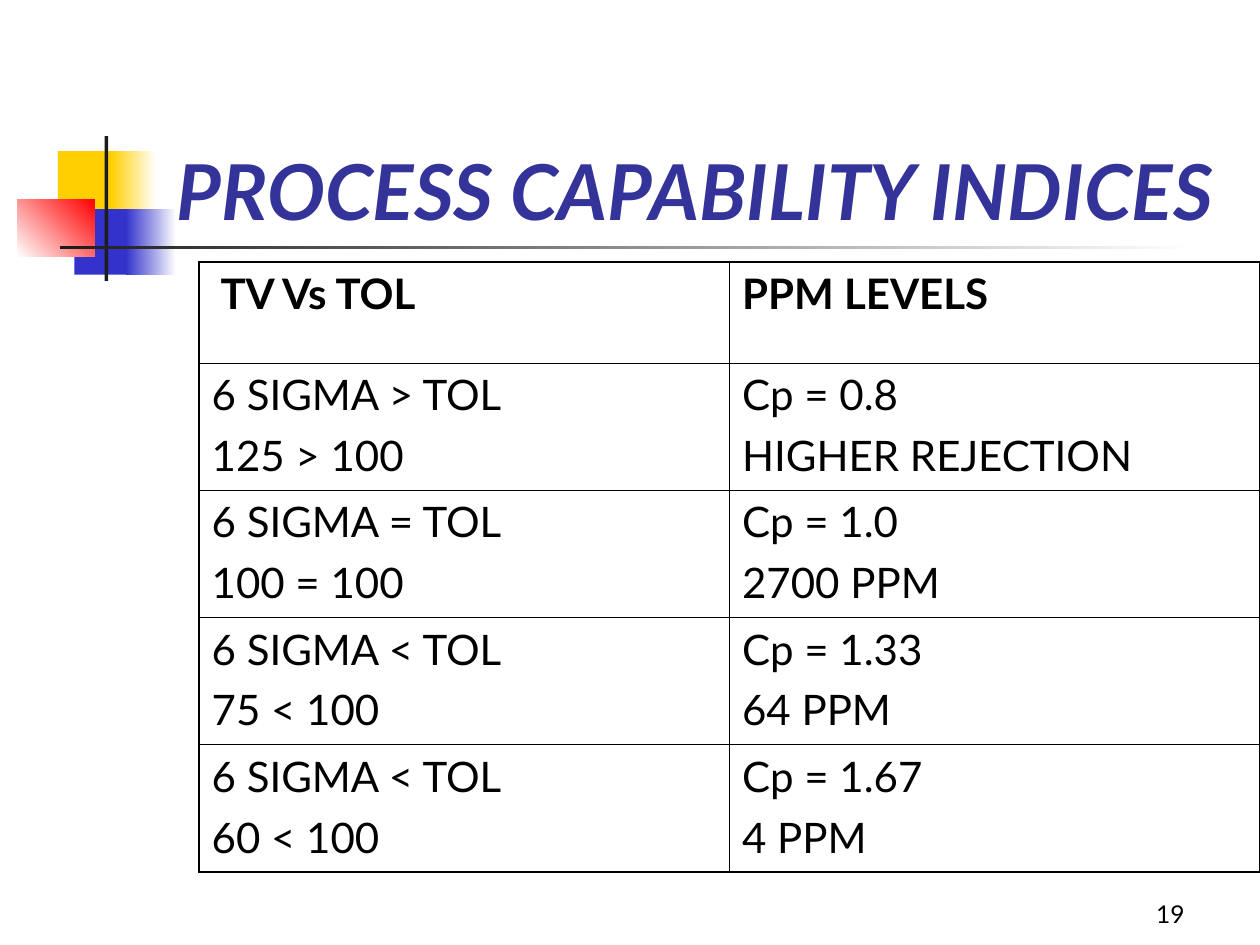
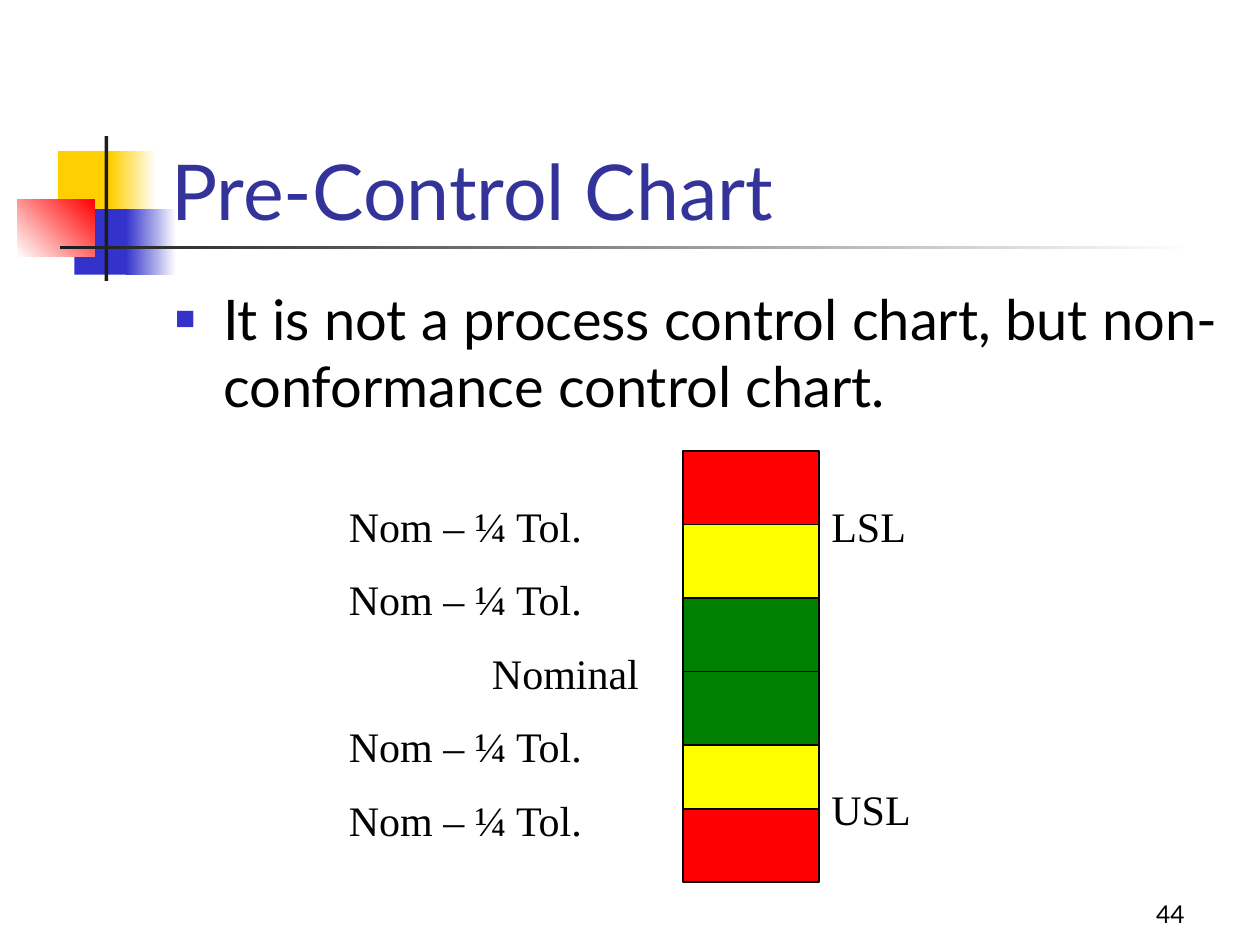
from lxml.etree import SubElement
from pptx import Presentation
from pptx.dml.color import RGBColor
from pptx.enum.shapes import MSO_SHAPE
from pptx.enum.text import MSO_ANCHOR, MSO_AUTO_SIZE, PP_ALIGN
from pptx.oxml import parse_xml
from pptx.oxml.ns import nsdecls, qn
from pptx.util import Inches, Pt

BLACK = RGBColor(0x00, 0x00, 0x00)
WHITE = RGBColor(0xFF, 0xFF, 0xFF)
CHARCOAL = RGBColor(0x1C, 0x1C, 0x1C)
GOLD = RGBColor(0xFF, 0xCF, 0x01)
BLUE = RGBColor(0x33, 0x33, 0xCC)
TITLE_BLUE = RGBColor(0x33, 0x33, 0x99)
RED = RGBColor(0xFF, 0x00, 0x00)
YELLOW = RGBColor(0xFF, 0xFF, 0x00)
GREEN = RGBColor(0x00, 0x80, 0x00)

SANS = "Lato"
SERIF = "Times New Roman"
TITLE_AND_BODY, TITLE_ONLY = 1, 5

# Left, top, width, height, colour and the angle at which it fades to white
MOTIF = [
    (0.46, 1.2, 0.48, 0.52, GOLD, None),
    (0.88, 1.2, 0.36, 0.52, GOLD, 180),
    (0.59, 1.66, 0.46, 0.52, BLUE, None),
    (1, 1.66, 0.4, 0.52, BLUE, 180),
    (0.14, 1.58, 0.61, 0.46, RED, 45),
    (0.83, 1.08, 0.03, 1.15, CHARCOAL, None),
    (0.48, 1.95, 9, 0.03, CHARCOAL, 180),
]

CAPABILITY_ROWS = [
    (" TV Vs TOL", "PPM LEVELS"),
    ("6 SIGMA > TOL\n125 > 100", "Cp = 0.8\nHIGHER REJECTION"),
    ("6 SIGMA = TOL\n100 = 100", "Cp = 1.0\n2700 PPM"),
    ("6 SIGMA < TOL\n75 < 100", "Cp = 1.33\n64 PPM"),
    ("6 SIGMA < TOL\n60 < 100", "Cp = 1.67\n4 PPM"),
]


class Deck:
    def __init__(self):
        self.presentation = Presentation()
        self.presentation.slide_width = Inches(10)
        self.presentation.slide_height = Inches(7.5)
        self.slide = None

    def start_slide(self, layout, title, number, **title_style):
        layouts = self.presentation.slide_layouts
        self.slide = self.presentation.slides.add_slide(layouts[layout])
        for left, top, width, height, color, fade in MOTIF:
            self.rectangle(left, top, width, height, color, fade)
        self.placeholder(0, 1.26, 0.67, 8.52, 1.25, title, MSO_ANCHOR.BOTTOM,
                         size=44, color=TITLE_BLUE, **title_style)
        self.label(7.42, 6.92, 2.08, 0.5, str(number), MSO_ANCHOR.BOTTOM,
                   size=14, align=PP_ALIGN.RIGHT)

    def format(self, paragraph, size, color=BLACK, font=SANS, bold=False,
               italic=False, align=PP_ALIGN.LEFT, before=0):
        paragraph.alignment = align
        paragraph.space_before = Pt(before)
        paragraph.font.name = font
        paragraph.font.size = Pt(size)
        paragraph.font.bold = bold
        paragraph.font.italic = italic
        paragraph.font.color.rgb = color

    def fill_frame(self, shape, text, anchor, **style):
        frame = shape.text_frame
        frame.text = text
        frame.word_wrap = True
        frame.auto_size = MSO_AUTO_SIZE.NONE
        frame.vertical_anchor = anchor
        for paragraph in frame.paragraphs:
            self.format(paragraph, **style)

    def placeholder(self, index, left, top, width, height, text, anchor,
                    **style):
        """Place a template placeholder in front of the shapes drawn so far."""
        shape = self.slide.placeholders[index]
        shape.left, shape.top = Inches(left), Inches(top)
        shape.width, shape.height = Inches(width), Inches(height)
        shape.element.getparent().append(shape.element)
        self.fill_frame(shape, text, anchor, **style)
        return shape

    def bullets(self, left, top, width, height, text):
        body = self.placeholder(1, left, top, width, height, text,
                                MSO_ANCHOR.TOP, size=32, before=8)
        for paragraph in body.text_frame.paragraphs:
            properties = paragraph._p.get_or_add_pPr()
            properties.set("marL", str(Inches(0.38)))
            properties.set("indent", str(Inches(-0.38)))
            defaults = properties.find(qn("a:defRPr"))
            color = SubElement(properties, qn("a:buClr"))
            SubElement(color, qn("a:srgbClr")).set("val", str(BLUE))
            SubElement(properties, qn("a:buSzPct")).set("val", "60000")
            SubElement(properties, qn("a:buChar")).set("char", "■")
            properties.append(defaults)

    def label(self, left, top, width, height, text, anchor=MSO_ANCHOR.TOP,
              **style):
        box = self.slide.shapes.add_textbox(
            Inches(left), Inches(top), Inches(width), Inches(height))
        self.fill_frame(box, text, anchor, **style)

    def rectangle(self, left, top, width, height, color, fade=None,
                  outline=None):
        shape = self.slide.shapes.add_shape(
            MSO_SHAPE.RECTANGLE,
            Inches(left), Inches(top), Inches(width), Inches(height))
        shape.shadow.inherit = False
        if fade is None:
            shape.fill.solid()
            shape.fill.fore_color.rgb = color
        else:
            shape.fill.gradient()
            # 180 runs leftwards from white; 45 runs up and right to the colour
            shape.fill.gradient_angle = fade
            first, last = shape.fill.gradient_stops
            first.color.rgb, last.color.rgb = WHITE, color
        if outline is None:
            shape.line.fill.background()
        else:
            shape.line.color.rgb = outline
            shape.line.width = Pt(1)

    def table(self, left, top, column_width, row_heights, rows):
        row_count, column_count = len(rows), len(rows[0])
        table = self.slide.shapes.add_table(
            row_count, column_count, Inches(left), Inches(top),
            Inches(column_width * column_count),
            Inches(sum(row_heights))).table
        table.first_row = table.horz_banding = False
        for column in table.columns:
            column.width = Inches(column_width)
        for row_index, texts in enumerate(rows):
            table.rows[row_index].height = Inches(row_heights[row_index])
            for column_index, text in enumerate(texts):
                cell = table.cell(row_index, column_index)
                cell.text = text
                cell.fill.background()
                for paragraph in cell.text_frame.paragraphs:
                    self.format(paragraph, 24, bold=row_index == 0, before=6)
                self.border(cell, {
                    "L": column_index == 0,
                    "R": column_index == column_count - 1,
                    "T": row_index == 0,
                    "B": row_index == row_count - 1,
                })

    def border(self, cell, outer_sides):
        """Draw all four sides, the table's outer ones thicker."""
        properties = cell._tc.get_or_add_tcPr()
        for position, (side, is_outer) in enumerate(outer_sides.items()):
            width = Pt(1.08 if is_outer else 0.45)
            properties.insert(position, parse_xml(
                f'<a:ln{side} {nsdecls("a")} w="{width}"><a:solidFill>'
                f'<a:srgbClr val="{BLACK}"/></a:solidFill></a:ln{side}>'))


def add_capability_slide(deck):
    deck.start_slide(TITLE_ONLY, "PROCESS CAPABILITY INDICES", 19,
                     bold=True, italic=True, align=PP_ALIGN.CENTER)
    deck.table(1.58, 2.08, 4.21, [0.8] + [1.01] * 4, CAPABILITY_ROWS)


def add_pre_control_slide(deck):
    deck.start_slide(TITLE_AND_BODY, "Pre-Control Chart", 44)
    deck.bullets(1.29, 2.21, 8.5, 1.33,
                 "It is not a process control chart, "
                 "but non-conformance control chart.")

    zone_height = 7 / 12
    zone_tops = [3.58 + zone_height * index for index in range(5)] + [6.42]
    zone_colors = [RED, YELLOW, GREEN, GREEN, YELLOW, RED]
    for top, color in zip(zone_tops, zone_colors):
        deck.rectangle(5.42, top, 1.08, zone_height, color, outline=BLACK)

    quarter = "Nom – ¼ Tol."
    limits = [quarter, quarter, "Nominal", quarter, quarter]
    for index, text in enumerate(limits):
        align = PP_ALIGN.RIGHT if text == "Nominal" else PP_ALIGN.LEFT
        deck.label(2.67, 3.92 + zone_height * index, 2.5, zone_height, text,
                   size=24, font=SERIF, align=align)
    for top, text in [(3.92, "LSL"), (6.17, "USL")]:
        deck.label(6.5, top, 2.5, zone_height, text, size=24, font=SERIF)


def main():
    deck = Deck()
    add_capability_slide(deck)
    add_pre_control_slide(deck)
    deck.presentation.save("out.pptx")


if __name__ == "__main__":
    main()
